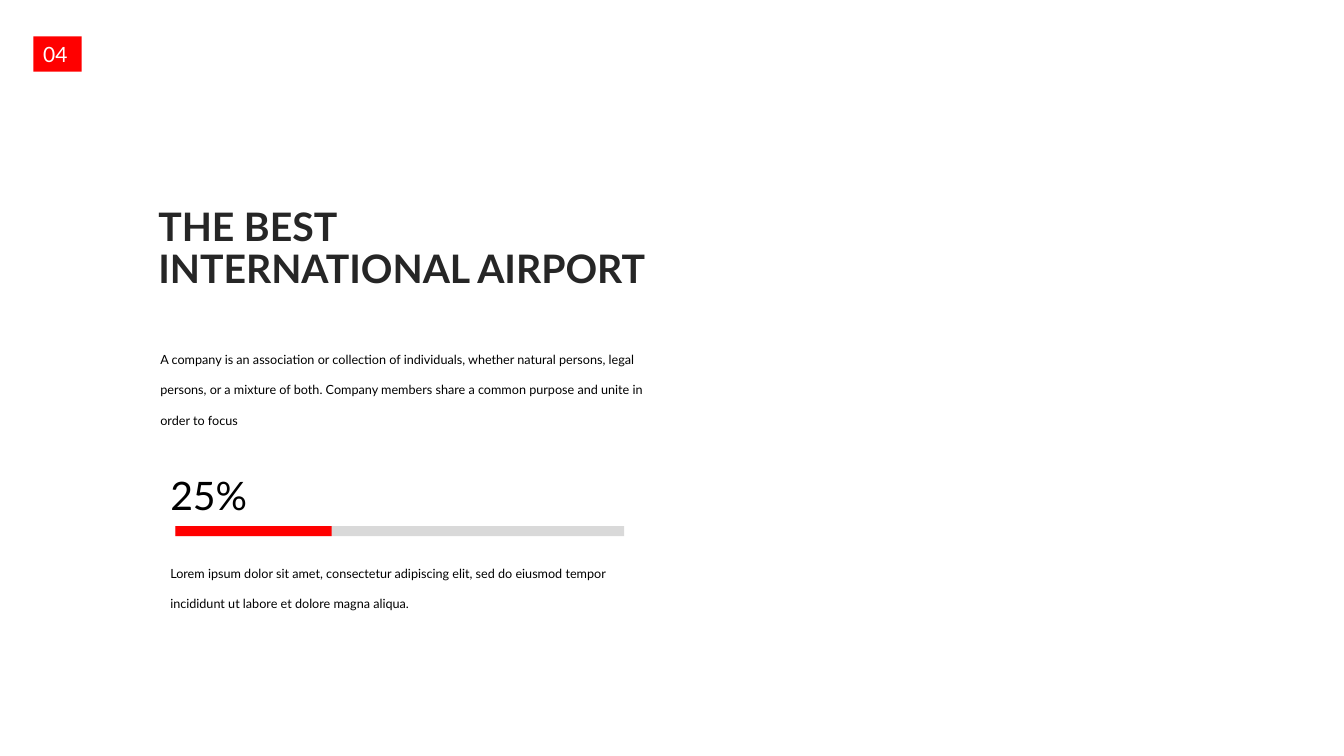
from pptx import Presentation
from pptx.dml.color import RGBColor
from pptx.enum.shapes import MSO_SHAPE
from pptx.enum.text import MSO_ANCHOR, MSO_AUTO_SIZE, PP_ALIGN
from pptx.util import Inches, Pt

RECTANGLE = MSO_SHAPE.RECTANGLE
MIDDLE, TOP = MSO_ANCHOR.MIDDLE, MSO_ANCHOR.TOP
NO_FIT = MSO_AUTO_SIZE.NONE
LEFT = PP_ALIGN.LEFT

# Content
FONT = "Lato"
RED, GREY, DARK, BLACK, WHITE = "FF0000", "D9D9D9", "262626", "000000", "FFFFFF"
PAGE_NUMBER = "04"
TITLE = "THE BEST INTERNATIONAL AIRPORT"
INTRO = ("A company is an association or collection of individuals, whether natural "
         "persons, legal persons, or a mixture of both. Company members share a common "
         "purpose and unite in order to focus")
PERCENT = "25%"
CAPTION = ("Lorem ipsum dolor sit amet, consectetur adipiscing elit, sed do eiusmod "
           "tempor incididunt ut labore et dolore magna aliqua.")

# Layout: left, top, width, height in inches
TEXT_LEFT, TEXT_WIDTH = 1.59, 4.92
BAR_LEFT, BAR_TOP, BAR_HEIGHT = 1.74, 5.22, 0.1
BARS = [(4.45, GREY), (1.55, RED)]
TEXT_BOXES = [  # text, top, width, height, size, line spacing, side inset, top inset, wrap
    (INTRO, 3.34, TEXT_WIDTH, 0.87, 9, 2, 0, 0, True),
    (CAPTION, 5.41, TEXT_WIDTH, 0.66, 9, 2, 0.1, 0.05, True),
    (PERCENT, 4.63, 1.01, 0.57, 28, 1, 0.1, 0.05, False),
]


def color(value):
    return RGBColor.from_string(value)


def write(shape, text, size, ink, spacing=1, anchor=TOP, wrap=True, bold=False,
          side=0.1, edge=0.05):
    frame = shape.text_frame
    frame.auto_size = NO_FIT
    frame.word_wrap = wrap
    frame.vertical_anchor = anchor
    frame.margin_left = frame.margin_right = Inches(side)
    frame.margin_top = frame.margin_bottom = Inches(edge)
    para = frame.paragraphs[0]
    para.text = text
    para.alignment = LEFT
    para.line_spacing = spacing
    para.font.name = FONT
    para.font.size = Pt(size)
    para.font.bold = bold
    para.font.color.rgb = color(ink)


def add_block(page, left, top, width, height, fill):
    block = page.shapes.add_shape(RECTANGLE, *map(Inches, (left, top, width, height)))
    block.shadow.inherit = False
    block.fill.solid()
    block.fill.fore_color.rgb = color(fill)
    block.line.fill.background()
    return block


deck = Presentation()
deck.slide_width, deck.slide_height = Inches(13.33), Inches(7.5)
page = deck.slides.add_slide(deck.slide_layouts[5])

# Title
title = page.shapes.title
title.left, title.top, title.width, title.height = map(Inches, (1.47, 1.83, 5.05, 1.29))
write(title, TITLE, 28, DARK, spacing=0.9, anchor=MIDDLE, bold=True)

# Progress bar: track, then filled part
for width, fill in BARS:
    add_block(page, BAR_LEFT, BAR_TOP, width, BAR_HEIGHT, fill)

# Intro, caption and percentage
for text, top, width, height, size, spacing, side, edge, wrap in TEXT_BOXES:
    box = page.shapes.add_textbox(*map(Inches, (TEXT_LEFT, top, width, height)))
    write(box, text, size, BLACK, spacing, wrap=wrap, side=side, edge=edge)

# Page number badge
badge = add_block(page, 0.33, 0.36, 0.48, 0.35, RED)
write(badge, PAGE_NUMBER, 15, WHITE, wrap=False)

deck.save("out.pptx")
